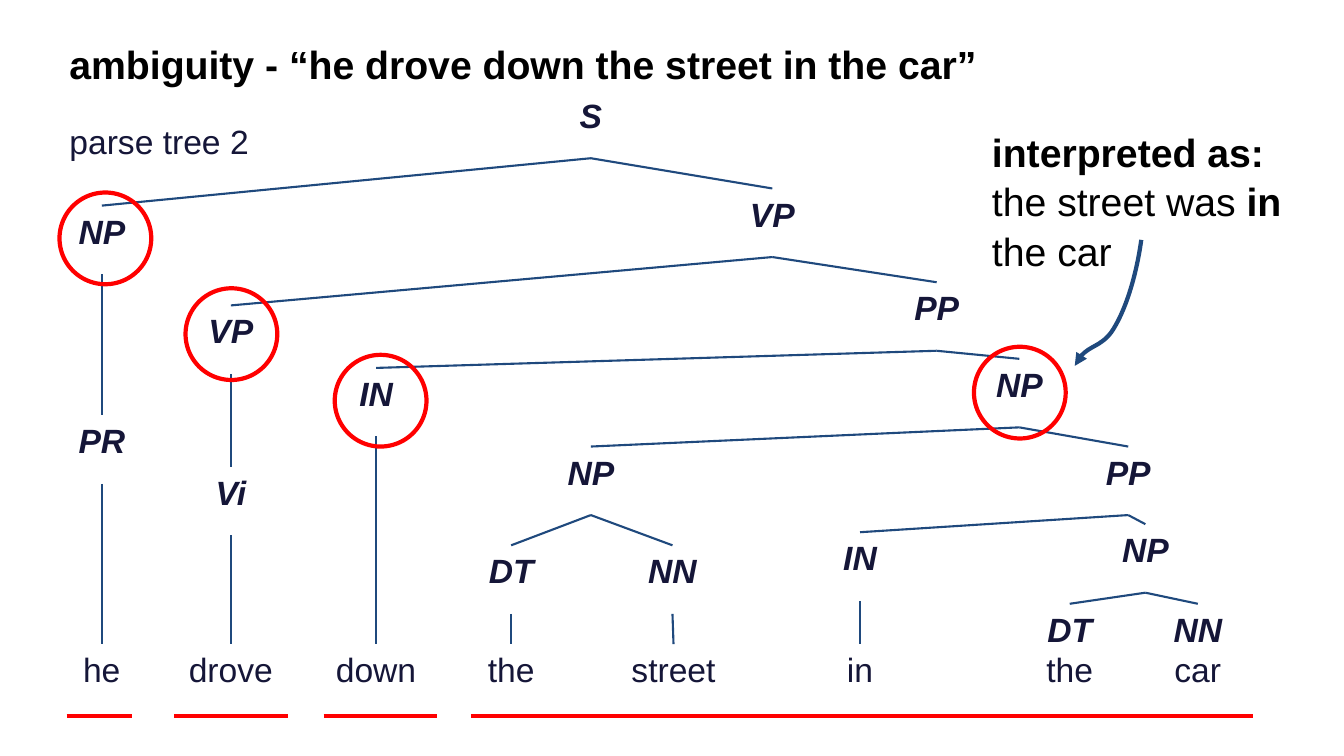
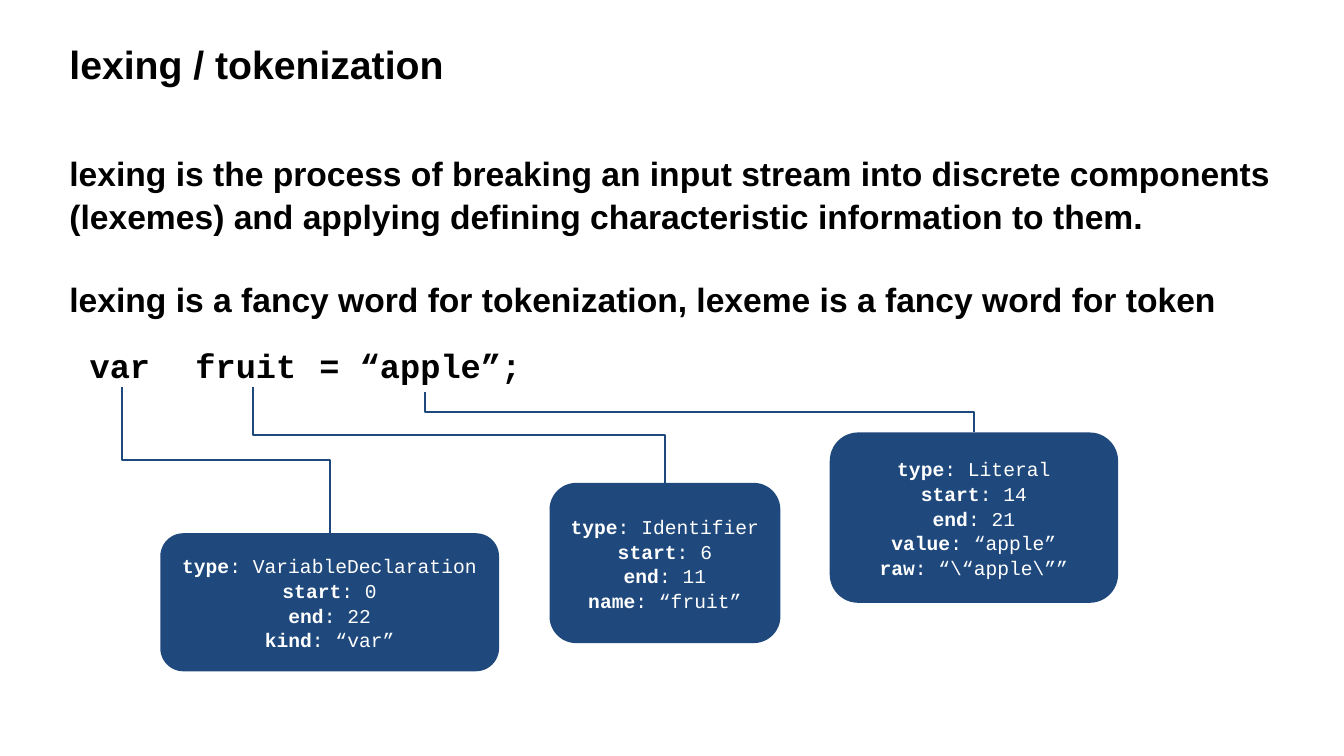
from collections import namedtuple

from pptx import Presentation
from pptx.dml.color import RGBColor
from pptx.enum.shapes import MSO_CONNECTOR as CONNECTOR, MSO_SHAPE as SHAPE
from pptx.enum.text import MSO_ANCHOR as ANCHOR, PP_ALIGN as ALIGN
from pptx.oxml.ns import qn
from pptx.oxml.xmlchemy import OxmlElement
from pptx.util import Inches, Pt

BLACK = RGBColor(0x00, 0x00, 0x00)
WHITE = RGBColor(0xFF, 0xFF, 0xFF)
INK = RGBColor(0x15, 0x16, 0x38)
BLUE = RGBColor(0x1F, 0x49, 0x7D)
RED = RGBColor(0xFF, 0x00, 0x00)

SANS = "Arial"
MONO = "Courier New"
NODE_WIDTH, WORD_WIDTH, NODE_HEIGHT = 0.78, 1.1, 0.68
WORD_TOP, UNDERLINE_TOP = 6.39, 7.1
CIRCLE_SIZE = 0.91

Node = namedtuple("Node", "label x top children")


def word(label, x):
    """Return a leaf on the sentence row."""
    return Node(label, x, WORD_TOP, ())


def node(label, x, top, *children):
    """Return a grammar node above its children."""
    return Node(label, x, top, children)


PARSE_TREE = node(
    "S", 5.86, 0.89,
    node("NP", 1.01, 2.04, node("PR", 1.01, 4.12, word("he", 1.01))),
    node(
        "VP", 7.66, 1.87,
        node("VP", 2.29, 3.03, node("Vi", 2.29, 4.63, word("drove", 2.29))),
        node(
            "PP", 9.29, 2.8,
            node("IN", 3.73, 3.65, word("down", 3.73)),
            node(
                "NP", 10.11, 3.56,
                node(
                    "NP", 5.86, 4.43,
                    node("DT", 5.07, 5.41, word("the", 5.07)),
                    node("NN", 6.67, 5.41, word("street", 6.68)),
                ),
                node(
                    "PP", 11.19, 4.43,
                    node("IN", 8.53, 5.28, word("in", 8.53)),
                    node(
                        "NP", 11.36, 5.2,
                        node("DT", 10.61, 5.99, word("the", 10.61)),
                        node("NN", 11.88, 5.99, word("car", 11.88)),
                    ),
                ),
            ),
        ),
    ),
)
CIRCLES = [(0.59, 1.91), (1.84, 2.86), (3.32, 3.52), (9.66, 3.44)]
UNDERLINES = [(0.66, 1.31), (1.73, 2.86), (3.21, 4.33), (4.67, 12.43)]
POINTER_CURVE = [(11.32, 2.38), (11.27, 2.74), (11.16, 3.1), (11.02, 3.3),
                 (10.91, 3.44), (10.75, 3.43), (10.66, 3.63)]

CODE_WORDS = [
    ("var", 0.79, 1.05),
    ("fruit", 1.84, 1.34),
    ("= “apple”;", 3.07, 2.29),
]
TOKENS = [
    ((1.59, 5.29, 3.36, 1.37), (1.21, 3.84),
     [("type", "VariableDeclaration"), ("start", "0"), ("end", "22"),
      ("kind", "“var”")]),
    ((5.45, 4.79, 2.29, 1.59), (2.51, 3.84),
     [("type", "Identifier"), ("start", "6"), ("end", "11"),
      ("name", "“fruit”")]),
    ((8.23, 4.29, 2.86, 1.69), (4.22, 3.89),
     [("type", "Literal"), ("start", "14"), ("end", "21"),
      ("value", "“apple”"), ("raw", "“\\“apple\\””")]),
]


class Deck:
    """Holds the shared style and the slide being drawn."""

    def __init__(self):
        """Open an empty widescreen presentation."""
        self.presentation = Presentation()
        self.presentation.slide_width = Inches(13.33)
        self.presentation.slide_height = Inches(7.5)
        self.slide = None

    def new_slide(self, title):
        """Start a slide with the shared title style."""
        layout = self.presentation.slide_layouts[6]
        self.slide = self.presentation.slides.add_slide(layout)
        self.text((0.59, 0.4, 11.84, 0.75), [title], size=28, bold=True,
                  spacing=0.9)

    def fill_frame(self, frame, lines, size=24, color=BLACK, font=SANS,
                   bold=False, italic=False, align=ALIGN.LEFT,
                   anchor=ANCHOR.TOP, margin=0.05, before=0, after=0,
                   spacing=None):
        """Fill a frame; a line is a string or (text, bold) runs."""
        frame.word_wrap = True
        frame.vertical_anchor = anchor
        frame.margin_left = frame.margin_right = Inches(0.1)
        frame.margin_top = frame.margin_bottom = Inches(margin)
        for index, line in enumerate(lines):
            paragraph = frame.add_paragraph() if index else frame.paragraphs[0]
            paragraph.alignment = align
            paragraph.space_before = Pt(before)
            paragraph.space_after = Pt(after)
            paragraph.line_spacing = spacing
            paragraph.font.size = Pt(size)
            paragraph.font.name = font
            paragraph.font.color.rgb = color
            paragraph.font.italic = italic
            runs = [(line, bold)] if isinstance(line, str) else line
            for content, run_bold in runs:
                run = paragraph.add_run()
                run.text = content
                run.font.bold = run_bold

    def text(self, box, lines, **style):
        """Add a text box."""
        shape = self.slide.shapes.add_textbox(*map(Inches, box))
        self.fill_frame(shape.text_frame, lines, **style)

    def shape(self, kind, box):
        """Add a preset shape without shadow."""
        shape = self.slide.shapes.add_shape(kind, *map(Inches, box))
        shape.shadow.inherit = False
        return shape

    def circle(self, left, top):
        """Add a red ring."""
        ring = self.shape(SHAPE.OVAL, (left, top, CIRCLE_SIZE, CIRCLE_SIZE))
        ring.fill.background()
        ring.line.color.rgb = RED
        ring.line.width = Pt(3)

    def line(self, start, end, color=BLUE, width=1.5, kind=CONNECTOR.STRAIGHT):
        """Add a connector without shadow."""
        connector = self.slide.shapes.add_connector(
            kind, *map(Inches, (*start, *end)))
        connector.line.color.rgb = color
        connector.line.width = Pt(width)
        connector.element.spPr.append(OxmlElement("a:effectLst"))
        return connector

    def elbow(self, start, end):
        """Add a connector that leaves downwards and turns twice."""
        across, down = end[0] - start[0], end[1] - start[1]
        left = (start[0] + end[0] - down) / 2
        top = (start[1] + end[1] - across) / 2
        connector = self.line((left, top), (left + down, top + across),
                              kind=CONNECTOR.ELBOW)
        transform = connector.element.spPr.find(qn("a:xfrm"))
        transform.set("rot", str(270 * 60000))
        transform.set("flipH", "1")

    def curved_arrow(self, points):
        """Add an arrow along cubic curves, three points for each curve."""
        corners = [(Inches(x), Inches(y)) for x, y in points]
        builder = self.slide.shapes.build_freeform(*corners[0])
        builder.add_line_segments(corners[1:], close=False)
        arrow = builder.convert_to_shape()
        arrow.shadow.inherit = False
        arrow.fill.background()
        arrow.line.color.rgb = BLUE
        arrow.line.width = Pt(3)
        segments = list(arrow.element.iter(qn("a:lnTo")))
        for first in range(0, len(segments), 3):
            curve = OxmlElement("a:cubicBezTo")
            segments[first].addprevious(curve)
            for segment in segments[first:first + 3]:
                curve.append(segment[0])
                segment.getparent().remove(segment)
        head = OxmlElement("a:tailEnd")
        head.set("type", "triangle")
        arrow.element.spPr.find(qn("a:ln")).append(head)

    def tree(self, parent):
        """Draw a node, its branches and everything below it."""
        is_word = not parent.children
        width = WORD_WIDTH if is_word else NODE_WIDTH
        self.text((parent.x - width / 2, parent.top, width, NODE_HEIGHT),
                  [parent.label], color=INK, bold=not is_word,
                  italic=not is_word, align=ALIGN.CENTER, before=6)
        bottom = parent.top + NODE_HEIGHT
        for child in parent.children:
            if child.top > parent.top + NODE_HEIGHT / 2 + 0.1:
                self.line((parent.x, bottom), (child.x, child.top))
            self.tree(child)

    def token(self, box, source, fields):
        """Draw a token card joined to its place in the code."""
        left, top, width, height = box
        card = self.shape(SHAPE.ROUNDED_RECTANGLE, box)
        card.fill.solid()
        card.fill.fore_color.rgb = BLUE
        card.line.fill.background()
        lines = [[(name, True), (f": {value}", False)]
                 for name, value in fields]
        self.fill_frame(card.text_frame, lines, size=14, color=WHITE,
                        font=MONO, align=ALIGN.CENTER, anchor=ANCHOR.MIDDLE,
                        margin=0.1, spacing=1.05)
        self.elbow(source, (left + width / 2, top))


def draw_ambiguity(deck):
    """Draw the parse tree slide."""
    deck.new_slide("ambiguity - “he drove down the street in the car”")
    deck.text((0.59, 1.15, 2.28, 0.68), ["parse tree 2"], color=INK, before=6)
    deck.tree(PARSE_TREE)
    for left, top in CIRCLES:
        deck.circle(left, top)
    for left, right in UNDERLINES:
        deck.line((left, UNDERLINE_TOP), (right, UNDERLINE_TOP), RED, 3)
    meaning = [("the street was ", False), ("in", True), (" the car", False)]
    deck.text((9.74, 1.15, 3.35, 1.58), [[("interpreted as:", True)], meaning],
              size=28, margin=0.1, spacing=1.05)
    deck.curved_arrow(POINTER_CURVE)


def draw_lexing(deck):
    """Draw the tokenization slide."""
    deck.new_slide("lexing / tokenization")
    deck.text(
        (0.59, 1.4, 12.35, 1.88),
        ["lexing is the process of breaking an input stream into discrete "
         "components (lexemes) and applying defining characteristic "
         "information to them.",
         "lexing is a fancy word for tokenization, "
         "lexeme is a fancy word for token"],
        bold=True, margin=0.1, after=29, spacing=1.05)
    for content, left, width in CODE_WORDS:
        deck.text((left, 3.39, width, 0.46), [content], font=MONO, bold=True,
                  anchor=ANCHOR.MIDDLE, margin=0.1)
    for box, source, fields in TOKENS:
        deck.token(box, source, fields)


def main():
    """Build and save the presentation."""
    deck = Deck()
    draw_ambiguity(deck)
    draw_lexing(deck)
    deck.presentation.save("out.pptx")


if __name__ == "__main__":
    main()
